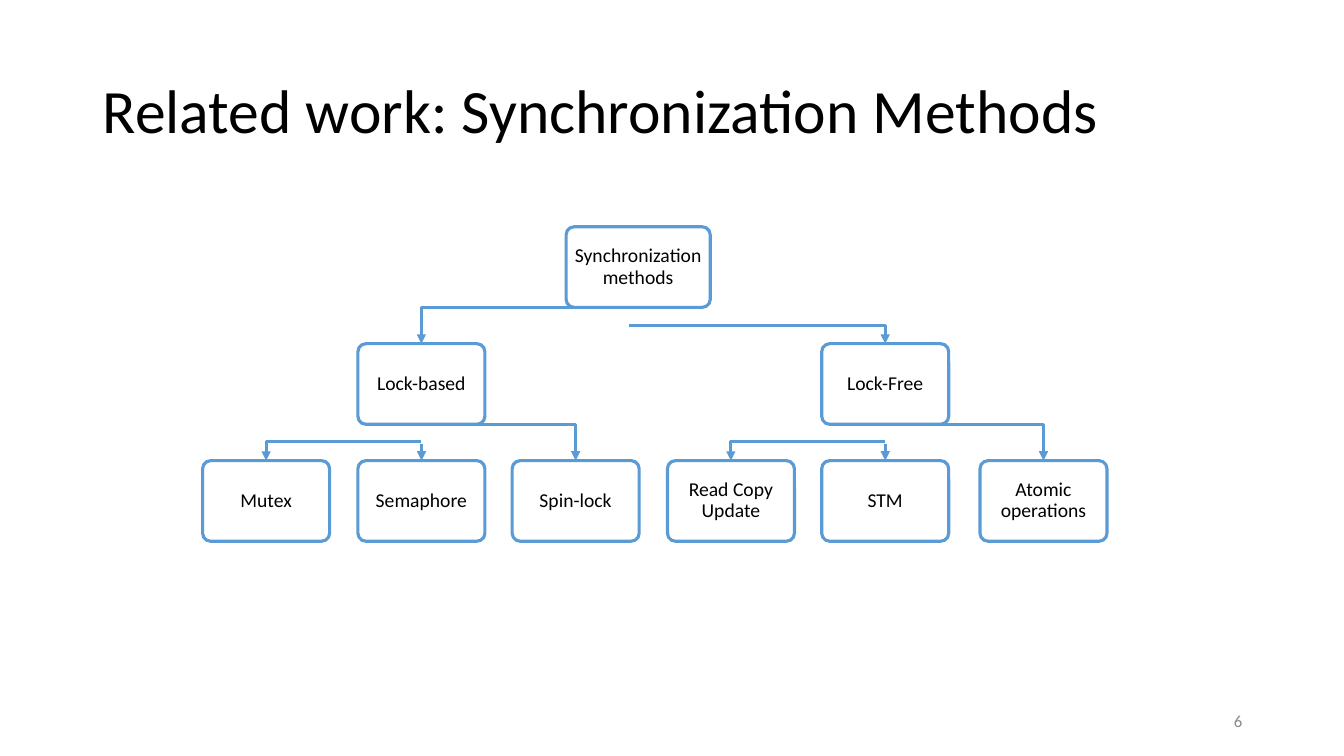
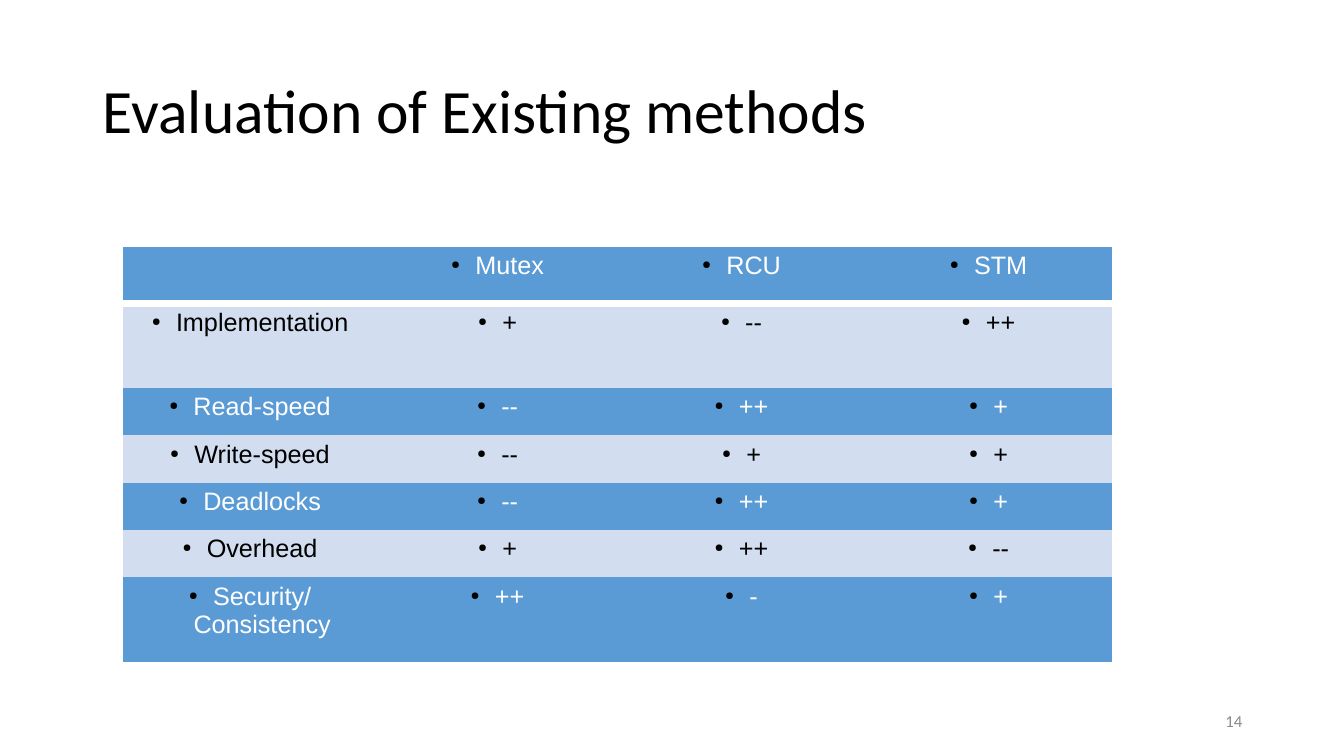
from lxml import etree
from pptx import Presentation
from pptx.dml.color import RGBColor
from pptx.enum.shapes import MSO_CONNECTOR, MSO_SHAPE
from pptx.enum.text import MSO_ANCHOR, MSO_AUTO_SIZE, PP_ALIGN
from pptx.oxml.ns import qn
from pptx.util import Inches, Pt

ROUNDED = MSO_SHAPE.ROUNDED_RECTANGLE
STRAIGHT, ELBOW = MSO_CONNECTOR.STRAIGHT, MSO_CONNECTOR.ELBOW
MIDDLE, NO_AUTOFIT = MSO_ANCHOR.MIDDLE, MSO_AUTO_SIZE.NONE
LEFT, CENTER, RIGHT = PP_ALIGN.LEFT, PP_ALIGN.CENTER, PP_ALIGN.RIGHT

COLORS = {"text": "000000", "inverse": "FFFFFF", "accent": "5B9BD5",
          "band": "D2DEEF", "number": "898989"}
BODY_FONT, TABLE_FONT = "Calibri", "Arial"
TITLE_ONLY = 5
PLAIN_TABLE_STYLE = "{2D5ABB26-0587-4C30-8999-92F81FD0307C}"

BOX_WIDTH, ROOT_WIDTH, BOX_HEIGHT = 1.26, 1.43, 0.8
COLUMN_CENTERS = [2.64, 4.18, 5.71, 7.25, 8.78, 10.35]
ROOT_CENTER = 6.33
ROOT_TOP, BRANCH_TOP, LEAF_TOP = 2.25, 3.41, 4.57
BRANCHES = [("Lock-based", 1), ("Lock-Free", 4)]
LEAVES = ["Mutex", "Semaphore", "Spin-lock", "Read Copy Update", "STM",
          "Atomic operations"]

COLUMN_WIDTHS = [2.52, 2.39, 2.45, 2.45]
ROW_HEIGHTS = [0.56, 0.84, 0.47, 0.47, 0.47, 0.47, 0.84]
RATINGS = [
    ["", "Mutex", "RCU", "STM"],
    ["Implementation", "+", "--", "++"],
    ["Read-speed", "--", "++", "+"],
    ["Write-speed", "--", "+", "+"],
    ["Deadlocks", "--", "++", "+"],
    ["Overhead", "+", "++", "--"],
    ["Security/Consistency", "++", "-", "+"],
]


def color(name):
    """Return the named colour."""
    return RGBColor.from_string(COLORS[name])


def add_child(parent, tag, **attributes):
    """Append a drawing element to an XML parent."""
    child = etree.SubElement(parent, qn(tag))
    for name, value in attributes.items():
        child.set(name, value)
    return child


def add_run(paragraph, text, size, color_name="text", font=BODY_FONT):
    """Add one formatted run to a paragraph."""
    run = paragraph.add_run()
    run.text = text
    run.font.size = Pt(size)
    run.font.name = font
    run.font.color.rgb = color(color_name)


def add_titled_slide(presentation, title, number):
    """Add a slide with its title and slide number."""
    slide = presentation.slides.add_slide(presentation.slide_layouts[TITLE_ONLY])
    shape = slide.shapes.title
    shape.left, shape.top = Inches(0.92), Inches(0.4)
    shape.width, shape.height = Inches(11.5), Inches(1.45)
    frame = shape.text_frame
    frame.auto_size = NO_AUTOFIT
    frame.vertical_anchor = MIDDLE
    paragraph = frame.paragraphs[0]
    paragraph.alignment = LEFT
    paragraph.line_spacing = 0.9
    add_run(paragraph, title, 44)

    box = slide.shapes.add_textbox(Inches(9.42), Inches(6.95), Inches(3), Inches(0.4))
    frame = box.text_frame
    frame.word_wrap = True
    frame.vertical_anchor = MIDDLE
    frame.paragraphs[0].alignment = RIGHT
    add_run(frame.paragraphs[0], number, 12, "number")
    return slide


def add_box(slide, text, center, top, width=BOX_WIDTH):
    """Add a rounded tree node centred on a column."""
    shape = slide.shapes.add_shape(ROUNDED, Inches(center - width / 2), Inches(top),
                                   Inches(width), Inches(BOX_HEIGHT))
    shape.adjustments[0] = 0.1
    shape.shadow.inherit = False
    shape.fill.solid()
    shape.fill.fore_color.rgb = color("inverse")
    fill_color = shape._element.spPr.find(qn("a:solidFill"))[0]
    add_child(fill_color, "a:alpha", val="90000")
    shape.line.color.rgb = color("accent")
    shape.line.width = Pt(2.25)
    frame = shape.text_frame
    frame.word_wrap = True
    frame.vertical_anchor = MIDDLE
    frame.margin_left = frame.margin_right = Inches(0.04)
    frame.margin_top = frame.margin_bottom = Inches(0.06)
    paragraph = frame.paragraphs[0]
    paragraph.alignment = CENTER
    paragraph.line_spacing = 0.9
    paragraph.space_after = Pt(6)
    add_run(paragraph, text, 14)


def add_arrow(slide, start, end):
    """Add an arrow that runs sideways first and then down."""
    straight = start[0] == end[0]
    points = [Inches(value) for value in (*start, *end)]
    connector = slide.shapes.add_connector(STRAIGHT if straight else ELBOW, *points)
    connector.line.color.rgb = color("accent")
    connector.line.width = Pt(2.25)
    properties = connector._element.spPr
    if not straight:
        properties.find(qn("a:prstGeom")).set("prst", "bentConnector2")
    add_child(properties.find(qn("a:ln")), "a:tailEnd", type="triangle")
    add_child(properties, "a:effectLst")


def add_tree(slide):
    """Draw the tree of synchronization methods."""
    for text, column in BRANCHES:
        add_box(slide, text, COLUMN_CENTERS[column], BRANCH_TOP)
    for text, center in zip(LEAVES, COLUMN_CENTERS):
        add_box(slide, text, center, LEAF_TOP)
    for (_, column), start_y in zip(BRANCHES, (3.05, 3.23)):
        add_arrow(slide, (6.24, start_y), (COLUMN_CENTERS[column], BRANCH_TOP))
        middle = COLUMN_CENTERS[column]
        for offset, leaf_start_y in ((1, 4.21), (0, 4.4), (-1, 4.38)):
            add_arrow(slide, (middle, leaf_start_y),
                      (COLUMN_CENTERS[column + offset], LEAF_TOP))
    add_box(slide, "Synchronization methods", ROOT_CENTER, ROOT_TOP, ROOT_WIDTH)


def add_bullet(paragraph):
    """Give a paragraph a small hanging bullet."""
    properties = paragraph._p.get_or_add_pPr()
    properties.set("marL", str(Inches(0.24)))
    properties.set("indent", str(Inches(-0.24)))
    bullet_color = add_child(properties, "a:buClr")
    add_child(bullet_color, "a:srgbClr", val=COLORS["text"])
    add_child(properties, "a:buSzPct", val="45000")
    add_child(properties, "a:buChar", char="●")


def add_bottom_border(cell):
    """Draw a thick white line under a cell."""
    line = etree.Element(qn("a:lnB"))
    line.set("w", str(Pt(6)))
    add_child(add_child(line, "a:solidFill"), "a:srgbClr", val=COLORS["inverse"])
    cell._tc.get_or_add_tcPr().insert(0, line)


def fill_cell(cell, text, dark):
    """Set the fill and bulleted text of a cell."""
    cell.fill.solid()
    cell.fill.fore_color.rgb = color("accent" if dark else "band")
    if text:
        paragraph = cell.text_frame.paragraphs[0]
        paragraph.alignment = CENTER
        add_bullet(paragraph)
        add_run(paragraph, text, 18, "inverse" if dark else "text", TABLE_FONT)


def add_ratings_table(slide):
    """Add the table that rates the methods."""
    frame = slide.shapes.add_table(
        len(ROW_HEIGHTS), len(COLUMN_WIDTHS), Inches(1.22), Inches(2.45),
        Inches(sum(COLUMN_WIDTHS)), Inches(sum(ROW_HEIGHTS)))
    table = frame.table
    table.first_row = table.horz_banding = False
    table._tbl.tblPr.find(qn("a:tableStyleId")).text = PLAIN_TABLE_STYLE
    for column, width in zip(table.columns, COLUMN_WIDTHS):
        column.width = Inches(width)
    for index, (row, height) in enumerate(zip(table.rows, ROW_HEIGHTS)):
        row.height = Inches(height)
        for cell, text in zip(row.cells, RATINGS[index]):
            fill_cell(cell, text, index % 2 == 0)
            if index == 0:
                add_bottom_border(cell)


def main():
    """Build and save the presentation."""
    presentation = Presentation()
    presentation.slide_width = Inches(13.33)
    presentation.slide_height = Inches(7.5)
    add_tree(add_titled_slide(presentation, "Related work: Synchronization Methods", "6"))
    add_ratings_table(add_titled_slide(presentation, "Evaluation of Existing methods", "14"))
    presentation.save("out.pptx")


if __name__ == "__main__":
    main()
